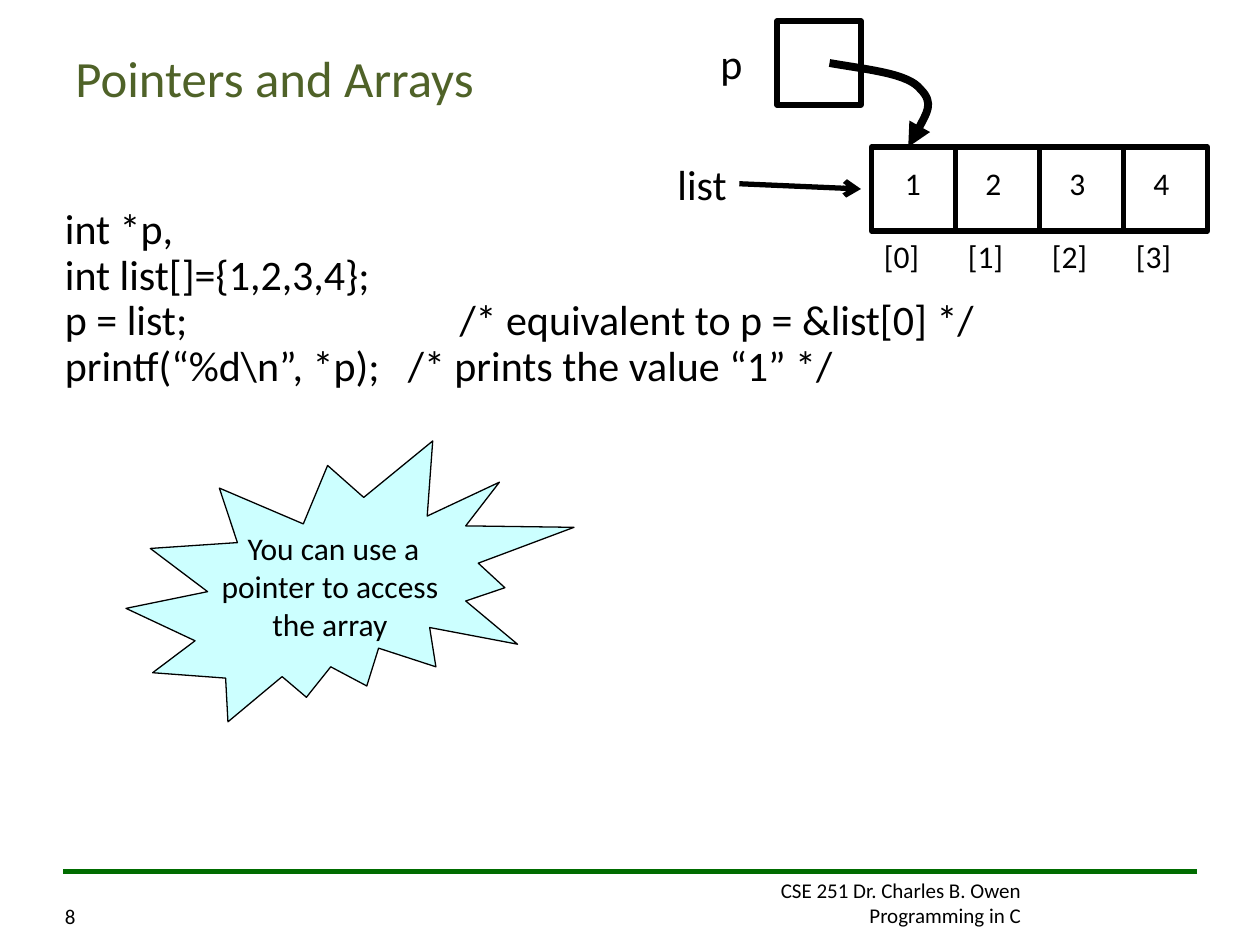
from dataclasses import dataclass

from lxml.etree import SubElement
from pptx import Presentation
from pptx.dml.color import RGBColor
from pptx.enum.shapes import MSO_CONNECTOR as Connector
from pptx.enum.shapes import MSO_SHAPE as Preset
from pptx.enum.text import MSO_ANCHOR as Anchor
from pptx.enum.text import PP_ALIGN as Align
from pptx.oxml.ns import qn
from pptx.util import Pt


@dataclass(frozen=True)
class Theme:
    font: str = "Calibri"
    ink: str = "000000"
    title: str = "4F6228"
    rule: str = "006C00"
    burst: str = "CCFFFF"
    title_size: float = 29
    code_size: float = 24
    label_size: float = 18
    footer_size: float = 12


THEME = Theme()
CELL = 48
LIST_LEFT, LIST_TOP = 498, 84


def color(code):
    return RGBColor.from_string(code)


def add_text(shape, lines, size, ink=THEME.ink, align=Align.LEFT,
             anchor=Anchor.TOP, wrap=True):
    """Write one paragraph per line and return the paragraphs."""
    frame = shape.text_frame
    frame.word_wrap = wrap
    frame.vertical_anchor = anchor
    for index, line in enumerate(lines):
        para = frame.add_paragraph() if index else frame.paragraphs[0]
        para.alignment = align
        span = para.add_run()
        span.text = line
        span.font.name = THEME.font
        span.font.size = Pt(size)
        span.font.color.rgb = color(ink)
    return frame.paragraphs


def add_box(page, left, top, width, height, lines, size, **style):
    box = page.shapes.add_textbox(Pt(left), Pt(top), Pt(width), Pt(height))
    return add_text(box, lines, size, **style)


def add_label(page, left, top, width, height, text, size):
    add_box(page, left, top, width, height, [text], size, wrap=False)


def style_line(shape, ink, width, head=None):
    shape.line.color.rgb = color(ink)
    shape.line.width = Pt(width)
    if head:
        SubElement(shape.line._get_or_add_ln(), qn("a:tailEnd"), type=head)


def add_shape(page, preset, left, top, width, height, line_width, fill=None):
    shape = page.shapes.add_shape(preset, Pt(left), Pt(top), Pt(width), Pt(height))
    shape.shadow.inherit = False
    if fill:
        shape.fill.solid()
        shape.fill.fore_color.rgb = color(fill)
    else:
        shape.fill.background()
    style_line(shape, THEME.ink, line_width)
    return shape


def add_line(page, start, end, ink, width, head=None):
    line = page.shapes.add_connector(
        Connector.STRAIGHT, *(Pt(value) for value in start + end))
    style_line(line, ink, width, head)
    SubElement(line._element.spPr, qn("a:effectLst"))


def add_curve(page, start, points, width, head):
    """Draw cubic curves; each takes two control points and an end point."""
    builder = page.shapes.build_freeform(*start, scale=Pt(1))
    builder.add_line_segments(points, close=False)
    curve = builder.convert_to_shape()
    curve.shadow.inherit = False
    curve.fill.background()
    style_line(curve, THEME.ink, width, head)
    outline = curve._element.spPr.find(".//" + qn("a:path"))
    segments = outline.findall(qn("a:lnTo"))
    for first in range(0, len(segments), 3):
        bezier = SubElement(outline, qn("a:cubicBezTo"))
        for segment in segments[first:first + 3]:
            bezier.append(segment[0])
            outline.remove(segment)


def add_footer(page):
    add_box(page, 348, 498, 242.5, 36,
            ["CSE 251 Dr. Charles B. Owen", "Programming in C"],
            THEME.footer_size, align=Align.RIGHT)
    add_line(page, (684, 498), (36, 498), THEME.rule, 3)
    add_box(page, 30, 513, 29, 22, ["8"], THEME.footer_size)


def add_code(page):
    lines = ["int *p,",
             "int list[]={1,2,3,4};",
             "p = list;\t/* equivalent to p = &list[0] */",
             "printf(“%d\\n”, *p);\t/* prints the value “1” */"]
    comment_stops = [None, None, 225.5, 196]
    paras = add_box(page, 30, 120, 636, 126, lines, THEME.code_size)
    for para, stop in zip(paras, comment_stops):
        para.line_spacing = 0.7
        para.space_before = Pt(6)
        if stop:
            tabs = SubElement(para._p.get_or_add_pPr(), qn("a:tabLst"))
            SubElement(tabs, qn("a:tab"), pos=str(Pt(stop)), algn="l")


def add_list(page, values):
    for index, value in enumerate(values):
        left = LIST_LEFT + index * CELL
        add_shape(page, Preset.RECTANGLE, left, LIST_TOP, CELL, CELL, 3)
        inset = 10 if index else 12
        add_label(page, left + inset, LIST_TOP + 6, 23, 29, str(value), THEME.label_size)
        add_label(page, left, LIST_TOP + CELL, 34.5, 29, f"[{index}]", THEME.label_size)
    add_label(page, 380, 87, 42.5, 36, "list", THEME.code_size)
    add_line(page, (422.5, 105), (492, 108), THEME.ink, 3, "arrow")


def add_pointer(page):
    add_shape(page, Preset.RECTANGLE, 444, 12, CELL, CELL, 3)
    add_label(page, 404.5, 18, 26.5, 36, "p", THEME.code_size)
    add_curve(page, (474, 36),
              [(497, 39.5), (519, 42.5), (526.5, 51),
               (534, 59), (526.5, 71.5), (519, 84)], 4.5, "triangle")


def add_burst(page):
    burst = add_shape(page, Preset.EXPLOSION2, 72, 252, 256, 160.5, 0.75, THEME.burst)
    add_text(burst, ["You can use a", "pointer to access ", "the array "],
             THEME.label_size, align=Align.CENTER, anchor=Anchor.MIDDLE, wrap=False)


def main():
    deck = Presentation()
    deck.slide_width, deck.slide_height = Pt(720), Pt(540)
    page = deck.slides.add_slide(deck.slide_layouts[6])
    add_footer(page)
    add_box(page, 36, 21.5, 648, 45, ["Pointers and Arrays"], THEME.title_size,
            ink=THEME.title, anchor=Anchor.MIDDLE)
    add_code(page)
    add_list(page, [1, 2, 3, 4])
    add_pointer(page)
    add_burst(page)
    deck.save("out.pptx")


if __name__ == "__main__":
    main()
